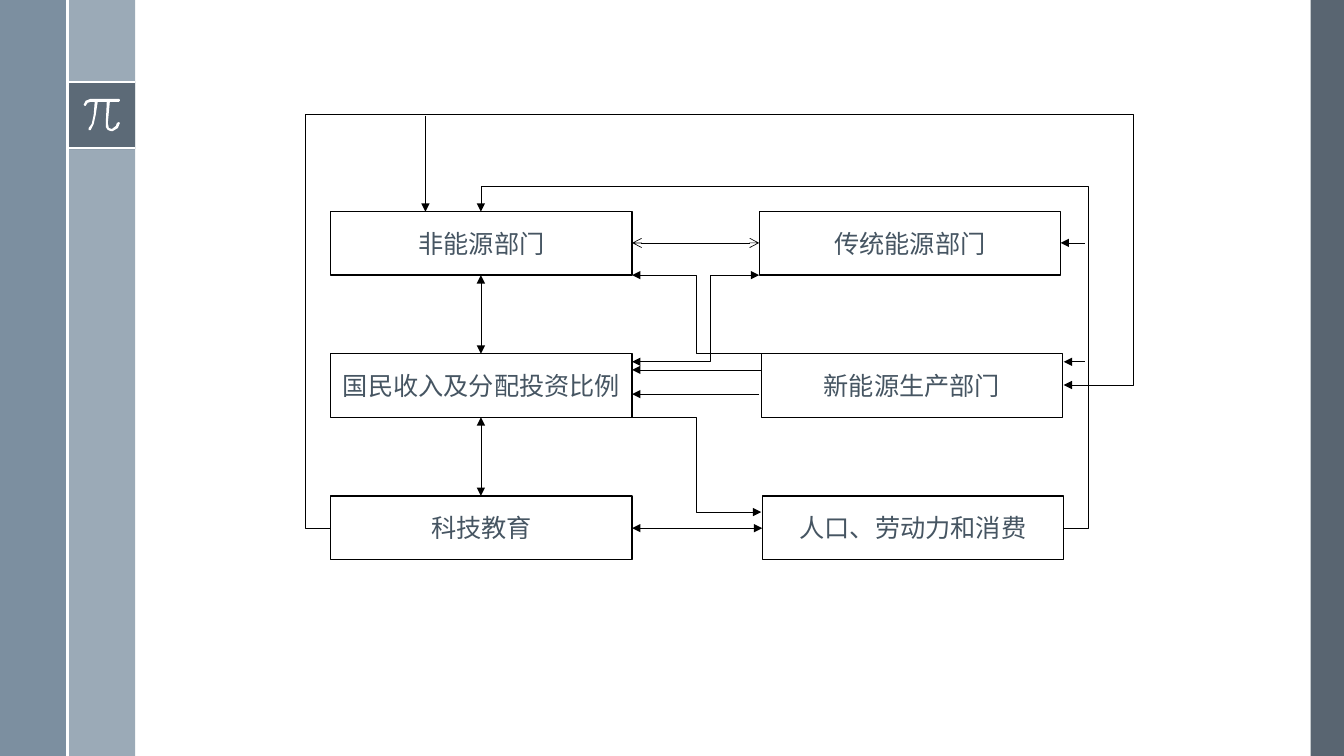
from lxml import etree
from pptx import Presentation
from pptx.dml.color import RGBColor
from pptx.enum.shapes import MSO_CONNECTOR, MSO_SHAPE
from pptx.enum.text import MSO_ANCHOR, PP_ALIGN
from pptx.oxml.ns import qn
from pptx.util import Inches, Pt

RECTANGLE = MSO_SHAPE.RECTANGLE
STRAIGHT, ELBOW = MSO_CONNECTOR.STRAIGHT, MSO_CONNECTOR.ELBOW
MIDDLE, CENTER = MSO_ANCHOR.MIDDLE, PP_ALIGN.CENTER

COLORS = {
    "dark": "475562",
    "steel": "6A8093",
    "pale": "9BAAB7",
    "white": "FFFFFF",
    "black": "000000",
    "text": "465562",
}

BANDS = [
    (13, 0, 0.33, 7.5, "dark", 90),
    (0.67, 0, 0.67, 7.5, "pale", 100),
    (0, 0, 0.67, 7.5, "steel", 88),
    (0.67, 0.81, 0.67, 0.67, "dark", 75),
]
BAND_RULES = [
    ((0.67, 0.81), (1.34, 0.81)),
    ((0.67, 1.47), (1.34, 1.47)),
    ((0.67, 0), (0.67, 7.5)),
]
PI_OUTLINE = [
    (1.18, 0.98), (0.9, 0.98), (0.85, 1), (0.83, 1.04), (0.84, 1.05),
    (0.85, 1.05), (0.87, 1.02), (0.9, 1.01), (0.94, 1.01), (0.93, 1.14),
    (0.91, 1.23), (0.88, 1.27), (0.88, 1.29), (0.9, 1.29), (0.93, 1.23),
    (0.95, 1.14), (0.97, 1.01), (1.06, 1.01), (1.05, 1.22), (1.05, 1.26),
    (1.07, 1.29), (1.1, 1.3), (1.12, 1.3), (1.17, 1.27), (1.19, 1.22),
    (1.18, 1.21), (1.16, 1.22), (1.15, 1.25), (1.11, 1.28), (1.08, 1.27),
    (1.07, 1.22), (1.09, 1.01), (1.18, 1.01), (1.19, 1), (1.19, 0.99),
]

BOX_WIDTH, BOX_HEIGHT = 2.99, 0.63
LEFT_COLUMN, FIRST_ROW, ROW_STEP = 3.28, 2.1, 1.41
SECTOR_ROWS = [
    ("非能源部门", "传统能源部门", 7.53),
    ("国民收入及分配投资比例", "新能源生产部门", 7.55),
    ("科技教育", "人口、劳动力和消费", 7.56),
]

FLOWS = [
    ((6.27, 2.41), (7.53, 2.41), "arrow", "arrow"),
    ((7.55, 3.67), (6.27, 3.67), None, "triangle"),
    ((7.53, 3.91), (6.27, 3.91), None, "triangle"),
    ((6.27, 5.24), (7.56, 5.24), "triangle", "triangle"),
    ((4.22, 1.15), (4.22, 2.1), None, "triangle"),
    ((4.77, 2.73), (4.77, 3.51), "triangle", "triangle"),
    ((4.77, 4.14), (4.77, 4.92), "triangle", "triangle"),
    ((10.76, 2.41), (10.52, 2.41), None, "triangle"),
    ((10.76, 3.59), (10.55, 3.59), None, "triangle"),
]
BENT_FLOWS = [
    ((6.27, 4.14), (7.55, 5.08), None, [6.91]),
    ((7.55, 3.51), (6.27, 2.73), None, [6.91]),
    ((6.27, 3.59), (7.53, 2.73), "triangle", [7.05]),
    ((10.55, 5.24), (4.77, 2.1), None, [10.8, 1.85]),
    ((3.28, 5.24), (10.55, 3.82), None, [3.03, 1.13, 11.24]),
]


def rgb(name):
    """Return the named palette colour."""
    return RGBColor.from_string(COLORS[name])


def paint(shape, color):
    """Give a shape a solid fill and no shadow."""
    shape.shadow.inherit = False
    shape.fill.solid()
    shape.fill.fore_color.rgb = rgb(color)


def add_band(slide, left, top, width, height, color, opacity):
    """Add a borderless side band with an opacity in percent."""
    band = slide.shapes.add_shape(
        RECTANGLE, Inches(left), Inches(top), Inches(width), Inches(height))
    paint(band, color)
    band.line.fill.background()
    if opacity < 100:
        tone = band._element.spPr.find(qn("a:solidFill"))[0]
        etree.SubElement(tone, qn("a:alpha"), val=str(opacity * 1000))


def add_pi(slide):
    """Add the white pi sign as a closed outline."""
    start, *rest = [(Inches(x), Inches(y)) for x, y in PI_OUTLINE]
    builder = slide.shapes.build_freeform(*start)
    builder.add_line_segments(rest, close=True)
    sign = builder.convert_to_shape()
    paint(sign, "white")
    sign.line.fill.background()


def add_sector(slide, left, top, label):
    """Add a labelled box for one sector of the model."""
    box = slide.shapes.add_shape(
        RECTANGLE, Inches(left), Inches(top), Inches(BOX_WIDTH), Inches(BOX_HEIGHT))
    paint(box, "white")
    box.line.color.rgb = rgb("black")
    box.line.width = Pt(1)
    frame = box.text_frame
    layout = {"word_wrap": True, "vertical_anchor": MIDDLE,
              "margin_left": Inches(0.05), "margin_right": Inches(0.05)}
    for name, value in layout.items():
        setattr(frame, name, value)
    paragraph = frame.paragraphs[0]
    paragraph.alignment = CENTER
    run = paragraph.add_run()
    run.text = label
    for name, value in {"size": Pt(18), "name": "Arial"}.items():
        setattr(run.font, name, value)
    run.font.color.rgb = rgb("text")


def add_line(slide, start, end, head=None, tail=None,
             color="black", width=0.5, kind=STRAIGHT):
    """Add a connector with optional arrowheads at its two ends."""
    line = slide.shapes.add_connector(
        kind, *[Inches(value) for value in (*start, *end)])
    line.line.color.rgb = rgb(color)
    line.line.width = Pt(width)
    outline = line.line._get_or_add_ln()
    for tag, arrow in (("a:headEnd", head), ("a:tailEnd", tail)):
        if arrow:
            etree.SubElement(outline, qn(tag), type=arrow)
    etree.SubElement(line._element.spPr, qn("a:effectLst"))
    return line


def add_bent_flow(slide, start, end, head, bends):
    """Add an elbow arrow whose bends are alternating x and y positions."""
    flow = add_line(slide, start, end, head, "triangle", kind=ELBOW)
    geometry = flow._element.spPr.find(qn("a:prstGeom"))
    geometry.set("prst", f"bentConnector{len(bends) + 2}")
    guides = geometry.find(qn("a:avLst"))
    for index, bend in enumerate(bends):
        axis = index % 2
        ratio = (bend - start[axis]) / (end[axis] - start[axis])
        etree.SubElement(guides, qn("a:gd"), name=f"adj{index + 1}",
                         fmla=f"val {round(ratio * 100000)}")


def main():
    """Build the sector diagram slide."""
    deck = Presentation()
    deck.slide_width, deck.slide_height = Inches(13.33), Inches(7.5)
    slide = deck.slides.add_slide(deck.slide_layouts[6])
    for band in BANDS:
        add_band(slide, *band)
    for start, end in BAND_RULES:
        add_line(slide, start, end, color="white", width=1.5)
    add_pi(slide)
    for row, (left_label, right_label, right_column) in enumerate(SECTOR_ROWS):
        top = FIRST_ROW + row * ROW_STEP
        add_sector(slide, LEFT_COLUMN, top, left_label)
        add_sector(slide, right_column, top, right_label)
    for flow in FLOWS:
        add_line(slide, *flow)
    for flow in BENT_FLOWS:
        add_bent_flow(slide, *flow)
    deck.save("out.pptx")


if __name__ == "__main__":
    main()
